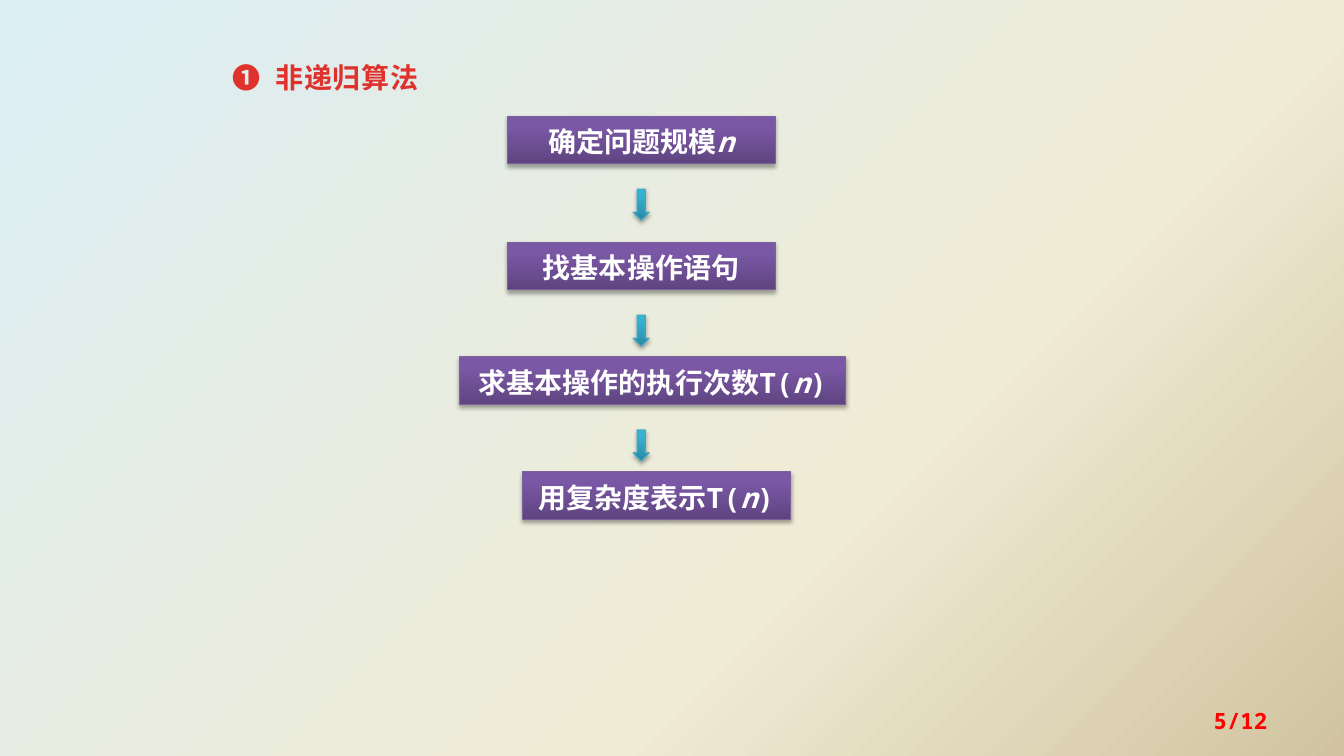
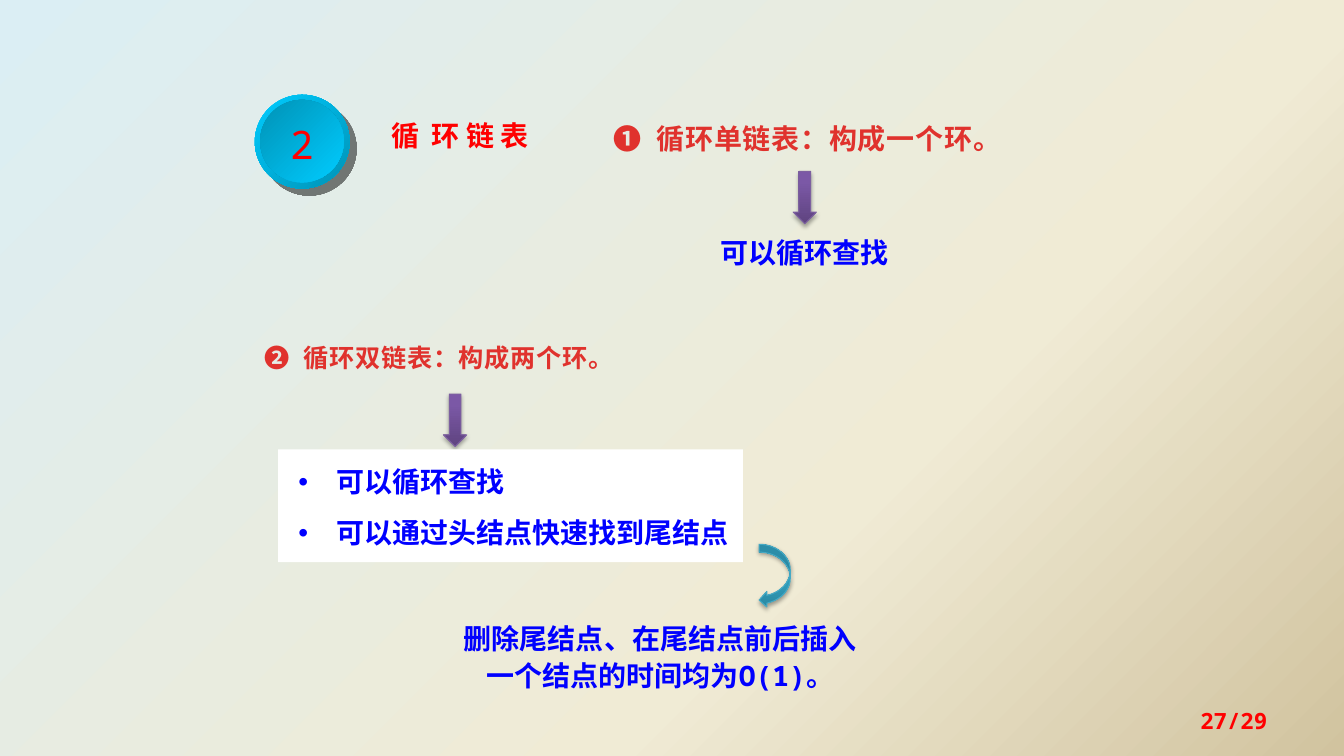
from collections import namedtuple

from lxml.etree import SubElement
from pptx import Presentation
from pptx.dml.color import RGBColor
from pptx.enum.shapes import MSO_SHAPE as Preset
from pptx.enum.text import MSO_ANCHOR as Anchor, PP_ALIGN as Align
from pptx.oxml.ns import qn
from pptx.util import Pt

Gradient = namedtuple("Gradient", "angle stops")
Shadow = namedtuple("Shadow", "alpha blur distance angle")
Style = namedtuple("Style", "fill line shadow")


def gradient(angle, *stops):
    return Gradient(angle, [(position, RGBColor.from_string(code)) for position, code in stops])


WHITE = RGBColor(0xFF, 0xFF, 0xFF)
RED = RGBColor(0xFF, 0x00, 0x00)
BLUE = RGBColor(0x00, 0x00, 0xFF)
PURPLE_EDGE = RGBColor(0x7D, 0x60, 0xA0)
TEAL_EDGE = RGBColor(0x46, 0xAA, 0xC5)
SHADOW_COLOUR = RGBColor(0x00, 0x00, 0x00)
BACKDROP = gradient(45, (0, "DBEEF4"), (65, "F0EBD5"), (100, "D1C39F"))
HEADING = gradient(90, (25, "E0322D"), (100, "A2201C"))
SOFT = Shadow(35, 3.1, 1.8, 90)
PURPLE = Style(gradient(270, (0, "5F4480"), (80, "7B58A6"), (100, "7C57A8")), PURPLE_EDGE, SOFT)
TEAL = Style(gradient(270, (0, "2A88A2"), (80, "37B1D2"), (100, "34B4D6")), TEAL_EDGE, SOFT)
RIM = Style(gradient(45, (0, "00CCFF"), (100, "0092B6")), None, Shadow(50, 0, 7.1, 45))
DISC = Style(gradient(45, (0, "0092B6"), (100, "00CCFF")), None, None)
PANEL = Style(WHITE, None, None)

MONO = "Noto Sans Mono"
SANS = "Noto Sans CJK SC"
SERIF = "Times New Roman"

STEP_HEIGHT = 34
STEP_ARROW_DROP = 52
STEP_ARROW = (452.2, 11.5, 22.3)
STEPS = [
    ("确定问题规模*n*", 362.2, 83, 191.5),
    ("找基本操作语句", 362.2, 173, 191.5),
    ("求基本操作的执行次数T(*n*)", 328.3, 255, 275.8),
    ("用复杂度表示T(*n*)", 373, 337, 191.5),
]

HEADINGS = [
    ("❶  循环单链表：构成一个环。", (431.3, 80.6, 309.6, 31.7), 20, SERIF),
    ("❷  循环双链表：构成两个环。", (182.2, 239, 416, 31), 18, MONO),
]
RESULT_ARROWS = [(566.6, 122.4, 16.6, 37.4), (316.8, 281.5, 16.6, 37.4)]
BENEFITS = ["可以循环查找", "可以通过头结点快速找到尾结点"]


def paint(fill, holder, colour):
    if not isinstance(colour, Gradient):
        fill.solid()
        fill.fore_color.rgb = colour
        return
    fill.gradient()
    fill.gradient_angle = (360 - colour.angle) % 360
    stop_list = holder.find(".//" + qn("a:gsLst"))
    for stop in list(stop_list):
        stop_list.remove(stop)
    for position, rgb in colour.stops:
        stop = SubElement(stop_list, qn("a:gs"), pos=str(position * 1000))
        SubElement(stop, qn("a:srgbClr"), val=str(rgb))


def add_shadow(shape, shadow):
    effects = shape.element.spPr.find(qn("a:effectLst"))
    outer = SubElement(effects, qn("a:outerShdw"), blurRad=str(Pt(shadow.blur)),
                       dist=str(Pt(shadow.distance)), dir=str(shadow.angle * 60000),
                       algn="ctr", rotWithShape="0")
    colour = SubElement(outer, qn("a:srgbClr"), val=str(SHADOW_COLOUR))
    SubElement(colour, qn("a:alpha"), val=str(shadow.alpha * 1000))


def add_figure(slide, preset, box, style):
    shape = slide.shapes.add_shape(preset, *map(Pt, box))
    shape.shadow.inherit = False
    paint(shape.fill, shape.element.spPr, style.fill)
    if style.line is None:
        shape.line.fill.background()
    else:
        shape.line.color.rgb = style.line
        shape.line.width = Pt(0.75)
    if style.shadow:
        add_shadow(shape, style.shadow)
    return shape


def write(shape, *lines, size=20, font=MONO, colour=BLUE, bold=True, align=Align.LEFT,
          anchor=Anchor.TOP, margins=(7.2, 3.6, 7.2, 3.6), wrap=True, leading=1.1,
          hanging=0, bullet=None, tracking=0):
    frame = shape.text_frame
    frame.word_wrap = wrap
    frame.vertical_anchor = anchor
    frame.margin_left, frame.margin_top, frame.margin_right, frame.margin_bottom = map(Pt, margins)
    for index, line in enumerate(lines):
        paragraph = frame.add_paragraph() if index else frame.paragraphs[0]
        paragraph.alignment = align
        paragraph.line_spacing = leading
        if index:
            paragraph.space_before = Pt(10)
        properties = paragraph._p.get_or_add_pPr()
        if hanging:
            properties.set("marL", str(Pt(hanging)))
            properties.set("indent", str(-Pt(hanging)))
        if bullet:
            SubElement(properties, qn("a:buFont"), typeface="Arial")
            SubElement(properties, qn("a:buChar"), char=bullet)
        for part, text in enumerate(line.split("*")):
            if not text:
                continue
            run = paragraph.add_run()
            run.text = text
            run.font.size = Pt(size)
            run.font.name = font
            run.font.bold = bold
            run.font.italic = part % 2 == 1
            run_properties = run._r.get_or_add_rPr()
            paint(run.font.fill, run_properties, colour)
            SubElement(run_properties, qn("a:ea"), typeface=SANS)
            if tracking:
                run_properties.set("spc", str(int(tracking * 100)))


def add_text(slide, box, *lines, **style):
    write(slide.shapes.add_textbox(*map(Pt, box)), *lines, **style)


def add_slide(presentation, page):
    slide = presentation.slides.add_slide(presentation.slide_layouts[6])
    add_text(slide, (688.3, 500.4, 224, 28.8), page, size=16, colour=RED,
             align=Align.RIGHT, anchor=Anchor.MIDDLE, leading=1.0)
    return slide


def build_algorithm_slide(presentation):
    slide = add_slide(presentation, "5/12")
    add_text(slide, (159, 37.5, 208, 34), "❶  非递归算法", colour=HEADING,
             hanging=36, tracking=0.5)
    arrow_left, arrow_width, arrow_height = STEP_ARROW
    for index, (text, left, top, width) in enumerate(STEPS):
        step = add_figure(slide, Preset.RECTANGLE, (left, top, width, STEP_HEIGHT), PURPLE)
        write(step, text, colour=WHITE, align=Align.CENTER)
        if index < len(STEPS) - 1:
            arrow_box = (arrow_left, top + STEP_ARROW_DROP, arrow_width, arrow_height)
            add_figure(slide, Preset.DOWN_ARROW, arrow_box, TEAL)


def build_list_slide(presentation):
    slide = add_slide(presentation, "27/29")
    add_figure(slide, Preset.OVAL, (182, 67.7, 67.7, 67), RIM)
    disc = add_figure(slide, Preset.OVAL, (185.8, 71.3, 59.8, 59), DISC)
    write(disc, "2", size=28, colour=RED, bold=False, align=Align.CENTER,
          anchor=Anchor.MIDDLE, wrap=False)
    add_text(slide, (272.2, 78.5, 174.2, 34), "循  环 链 表", font=SANS, colour=RED)
    for text, box, size, font in HEADINGS:
        add_text(slide, box, text, size=size, font=font, colour=HEADING, tracking=0.5)
    for box in RESULT_ARROWS:
        add_figure(slide, Preset.DOWN_ARROW, box, PURPLE)
    add_text(slide, (493.2, 162, 163.4, 31), BENEFITS[0], font=SANS, align=Align.CENTER)
    panel = add_figure(slide, Preset.RECTANGLE, (198.7, 321, 332, 80.6), PANEL)
    write(panel, *BENEFITS, margins=(14.4, 8.64, 7.2, 8.64), hanging=27, bullet="•")
    add_text(slide, (316.8, 437.8, 309.6, 59),
             "删除尾结点、在尾结点前后插入一个结点的时间均为O(1)。", align=Align.CENTER)
    add_figure(slide, Preset.CURVED_LEFT_ARROW, (542.2, 388.8, 22.3, 45.4), TEAL)


def main():
    presentation = Presentation()
    presentation.slide_width, presentation.slide_height = Pt(960), Pt(540)
    master = presentation.slide_master
    paint(master.background.fill, master.element, BACKDROP)
    build_algorithm_slide(presentation)
    build_list_slide(presentation)
    presentation.save("out.pptx")


if __name__ == "__main__":
    main()
